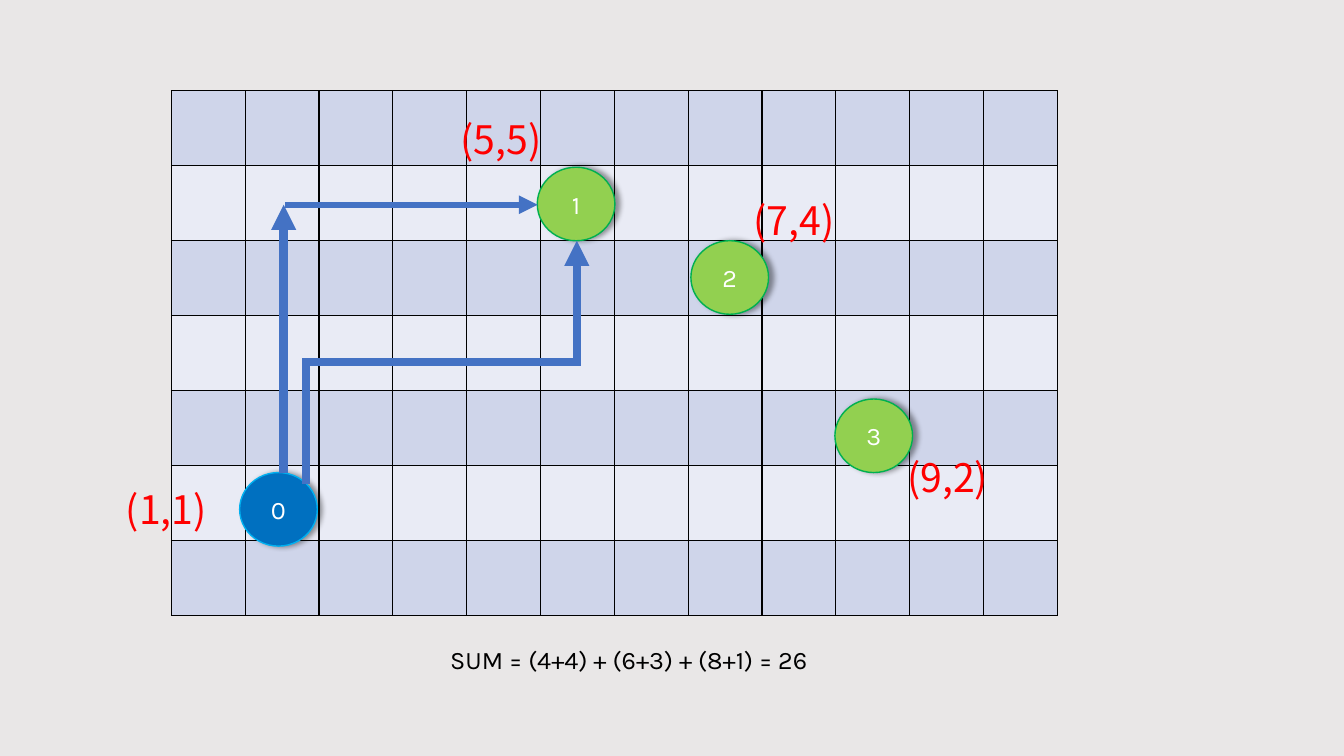
from dataclasses import dataclass

from lxml import etree
from pptx import Presentation
from pptx.dml.color import RGBColor
from pptx.enum.shapes import MSO_CONNECTOR, MSO_SHAPE
from pptx.enum.text import MSO_ANCHOR, MSO_AUTO_SIZE, PP_ALIGN
from pptx.oxml import parse_xml
from pptx.oxml.ns import nsdecls, qn
from pptx.util import Inches, Pt

STRAIGHT, ELBOW = MSO_CONNECTOR.STRAIGHT, MSO_CONNECTOR.ELBOW
OVAL = MSO_SHAPE.OVAL
MIDDLE = MSO_ANCHOR.MIDDLE
LEFT, CENTER = PP_ALIGN.LEFT, PP_ALIGN.CENTER
GROW = MSO_AUTO_SIZE.SHAPE_TO_FIT_TEXT

COLUMNS, ROWS = 12, 7


@dataclass(frozen=True)
class Theme:
    background: str = "E9E7E7"
    bands: tuple = ("CFD5EA", "E9EBF5")
    ink: str = "000000"
    depot: tuple = ("0070C0", "00B0F0")
    stop: tuple = ("92D050", "00B050")
    node_text: str = "FFFFFF"
    coordinate: str = "FF0000"
    route: str = "4472C4"
    body_font: str = "Karla"
    coordinate_font: str = "Noto Sans CJK SC"
    body_size: int = 18
    coordinate_size: int = 28


class GridSlide:
    """A slide measured in columns and rows of its grid, from the grid's top left corner."""

    left, top = Inches(1.7), Inches(0.9)
    column, row = Inches(8.79) / COLUMNS, Inches(5.21) / ROWS

    def __init__(self, slide, theme):
        self.theme = theme
        self.shapes = slide.shapes
        self.paint(slide.background.fill, theme.background)

    def point(self, column, row):
        return round(self.left + column * self.column), round(self.top + row * self.row)

    def paint(self, fill, color):
        fill.solid()
        fill.fore_color.rgb = RGBColor.from_string(color)

    def add_run(self, shape, text, font, size, color, alignment=LEFT):
        paragraph = shape.text_frame.paragraphs[0]
        paragraph.alignment = alignment
        run = paragraph.add_run()
        run.text = text
        for name, value in {"name": font, "size": Pt(size)}.items():
            setattr(run.font, name, value)
        run.font.color.rgb = RGBColor.from_string(color)

    def grid(self):
        width, height = round(COLUMNS * self.column), round(ROWS * self.row)
        frame = self.shapes.add_table(ROWS, COLUMNS, self.left, self.top, width, height)
        table = frame.table
        table.first_row = table.horz_banding = False
        for column in table.columns:
            column.width = round(self.column)
        for index, row in enumerate(table.rows):
            row.height = round(self.row)
            for cell in row.cells:
                self.paint(cell.fill, self.theme.bands[index % 2])
                self.border(cell)

    def border(self, cell):
        properties = cell._tc.get_or_add_tcPr()
        for position, side in enumerate(("lnL", "lnR", "lnT", "lnB")):
            properties.insert(position, parse_xml(
                f'<a:{side} {nsdecls("a")} w="{Pt(1)}"><a:solidFill>'
                f'<a:srgbClr val="{self.theme.ink}"/></a:solidFill></a:{side}>'))

    def node(self, text, column, row, colors):
        """Draw a numbered circle centred on the given point."""
        width, height = Inches(0.77), Inches(0.73)
        x, y = self.point(column, row)
        circle = self.shapes.add_shape(OVAL, x - width // 2, y - height // 2, width, height)
        fill, outline = colors
        self.paint(circle.fill, fill)
        self.paint(circle.line.fill, outline)
        circle.line.width = Pt(1)
        self.cast_shadow(circle)
        circle.text_frame.vertical_anchor = MIDDLE
        theme = self.theme
        self.add_run(circle, text, theme.body_font, theme.body_size, theme.node_text, CENTER)

    def cast_shadow(self, shape):
        shape.shadow.inherit = False
        effects = shape._element.spPr.find(qn("a:effectLst"))
        effects.append(parse_xml(
            f'<a:outerShdw {nsdecls("a")} blurRad="{Pt(4)}" dist="{Pt(3)}" dir="0" '
            f'algn="l" rotWithShape="0"><a:srgbClr val="{self.theme.ink}">'
            '<a:alpha val="40000"/></a:srgbClr></a:outerShdw>'))

    def text(self, text, column, row, size, font, points, color):
        width, height = size
        box = self.shapes.add_textbox(*self.point(column, row), Inches(width), Inches(height))
        for name, value in {"word_wrap": True, "auto_size": GROW}.items():
            setattr(box.text_frame, name, value)
        self.add_run(box, text, font, points, color)

    def arrow(self, start, end, width):
        connector = self.shapes.add_connector(STRAIGHT, *self.point(*start), *self.point(*end))
        self.finish_arrow(connector, width)

    def rising_elbow(self, start, end, width):
        """Go up, right and up again: an elbow flipped both ways and turned a quarter."""
        (x1, y1), (x2, y2) = self.point(*start), self.point(*end)
        middle_x, middle_y = (x1 + x2) // 2, (y1 + y2) // 2
        across, down = (y1 - y2) // 2, (x2 - x1) // 2
        connector = self.shapes.add_connector(
            ELBOW, middle_x + across, middle_y + down, middle_x - across, middle_y - down)
        connector._element.spPr.find(qn("a:xfrm")).set("rot", str(90 * 60000))
        self.finish_arrow(connector, width)

    def finish_arrow(self, connector, width):
        self.paint(connector.line.fill, self.theme.route)
        connector.line.width = Pt(width)
        line = connector._element.spPr.find(qn("a:ln"))
        etree.SubElement(line, qn("a:miter"), lim="800000")
        etree.SubElement(line, qn("a:tailEnd"), type="triangle")
        etree.SubElement(connector._element.spPr, qn("a:effectLst"))


def main():
    presentation = Presentation()
    presentation.slide_width, presentation.slide_height = Inches(13.33), Inches(7.5)
    theme = Theme()
    board = GridSlide(presentation.slides.add_slide(presentation.slide_layouts[6]), theme)

    board.grid()
    nodes = [
        ("0", 1.45, 5.58, theme.depot),
        ("1", 5.48, 1.51, theme.stop),
        ("2", 7.56, 2.49, theme.stop),
        ("3", 9.51, 4.6, theme.stop),
    ]
    for node in nodes:
        board.node(*node)

    coordinates = [
        ("(1,1)", -0.75, 5.2),
        ("(5,5)", 3.78, 0.26),
        ("(7,4)", 7.75, 1.34),
        ("(9,2)", 9.83, 4.77),
    ]
    for label, column, row in coordinates:
        board.text(label, column, row, (1.16, 0.57), theme.coordinate_font,
                   theme.coordinate_size, theme.coordinate)

    board.arrow((1.52, 5.09), (1.52, 1.52), 6)
    board.arrow((1.54, 1.52), (4.96, 1.52), 4.5)
    board.rising_elbow((1.82, 5.24), (5.49, 2), 6)
    board.text("SUM = (4+4) + (6+3) + (8+1) = 26", 3.64, 7.31, (5.34, 0.4),
               theme.body_font, theme.body_size, theme.ink)
    presentation.save("out.pptx")


if __name__ == "__main__":
    main()
